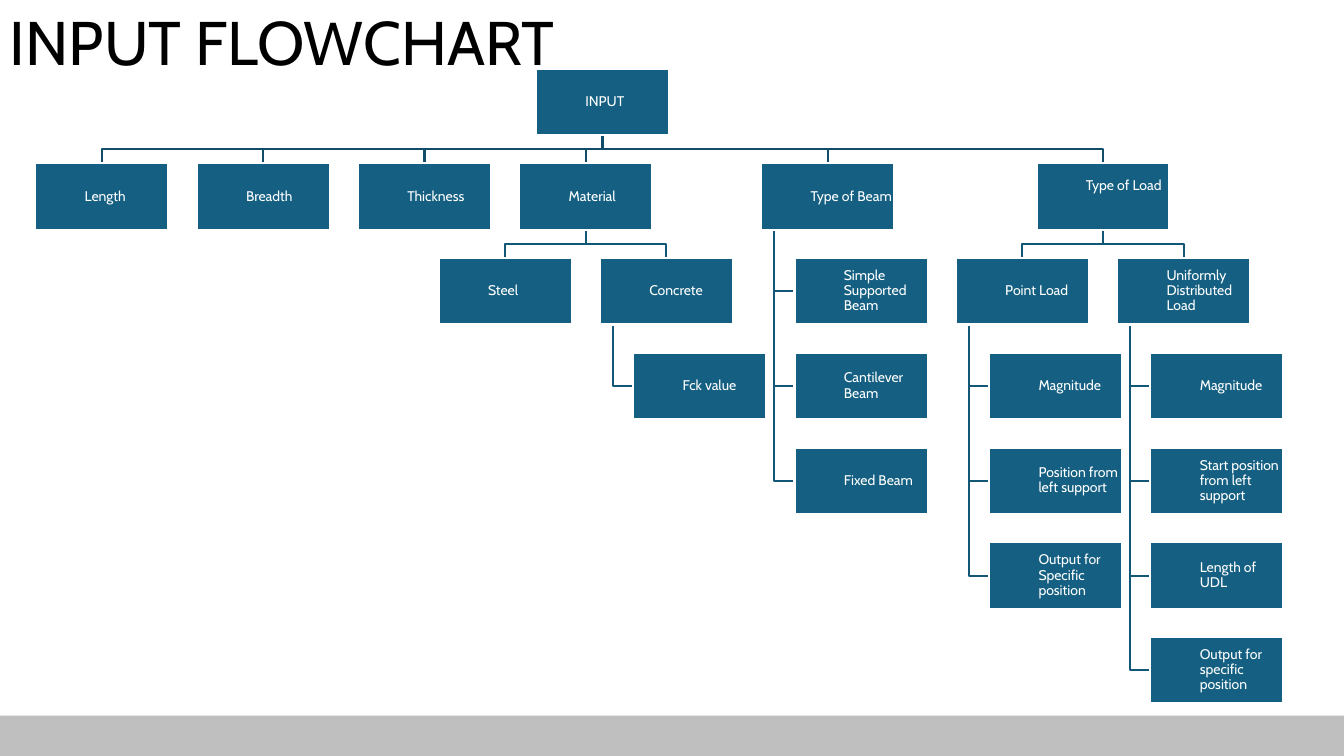
from dataclasses import dataclass

from pptx import Presentation
from pptx.dml.color import RGBColor
from pptx.enum.shapes import MSO_SHAPE
from pptx.enum.text import MSO_ANCHOR, PP_ALIGN
from pptx.util import Inches, Pt

RECTANGLE = MSO_SHAPE.RECTANGLE
MIDDLE = MSO_ANCHOR.MIDDLE
LEFT = PP_ALIGN.LEFT

FONT = "Cabin"
BOX_WIDTH, BOX_HEIGHT = 1.32, 0.66
GAP = 0.28
ROW_PITCH = BOX_HEIGHT + GAP
HANG_INDENT = 0.33
TRUNK_OFFSET = 0.13


@dataclass
class Node:
    """A box of the tree; its children hang in a column or spread in a row."""
    label: str
    children: tuple = ()
    hangs: bool = False
    raised: float = 0
    left: float = 0
    row: int = 0


def leaves(*labels):
    return tuple(Node(label) for label in labels)


INPUT_TREE = Node("INPUT", (
    *leaves("Length", "Breadth", "Thickness"),
    Node("Material", (
        Node("Steel"),
        Node("Concrete", leaves("Fck value"), hangs=True),
    )),
    Node("Type of Beam", leaves(
        "Simple Supported Beam", "Cantilever Beam", "Fixed Beam"), hangs=True),
    Node("Type of Load", (
        Node("Point Load", leaves(
            "Magnitude", "Position from left support",
            "Output for Specific position"), hangs=True),
        Node("Uniformly Distributed Load", leaves(
            "Magnitude", "Start position from left support",
            "Length of UDL", "Output for specific position"), hangs=True),
    ), raised=0.2),
))


def color(value):
    return RGBColor.from_string(value)


def walk(node):
    yield node
    for child in node.children:
        yield from walk(child)


def arrange(node, row=0):
    """Pack the subtrees side by side, one gap apart on their tightest row."""
    node.row = row
    if node.hangs:
        for step, child in enumerate(node.children, 1):
            arrange(child, row + step)
            child.left = HANG_INDENT
    elif node.children:
        right_edges = {}
        for child in node.children:
            arrange(child, row + 1)
            family = list(walk(child))
            shift = max((right_edges[member.row] + GAP - member.left
                         for member in family if member.row in right_edges), default=0)
            for member in family:
                member.left += shift
                right_edges[member.row] = member.left + BOX_WIDTH
        node.left = (node.children[0].left + node.children[-1].left) / 2


def write(frame, text, size, hex_color):
    frame.word_wrap = True
    frame.vertical_anchor = MIDDLE
    para = frame.paragraphs[0]
    para.alignment = LEFT
    para.line_spacing = 0.9
    span = para.add_run()
    span.text = text
    span.font.name = FONT
    span.font.size = Pt(size)
    span.font.color.rgb = color(hex_color)


def add_rectangle(page, left, top, width, height, fill, line=None):
    shape = page.shapes.add_shape(
        RECTANGLE, Inches(left), Inches(top), Inches(width), Inches(height))
    shape.shadow.inherit = False
    shape.fill.solid()
    shape.fill.fore_color.rgb = color(fill)
    if line:
        shape.line.color.rgb = color(line)
        shape.line.width = Pt(1.5)
    else:
        shape.line.fill.background()
    return shape


def add_elbow(page, points, hex_color):
    start, *rest = [(Inches(x), Inches(y)) for x, y in points]
    builder = page.shapes.build_freeform(*start)
    builder.add_line_segments(rest, close=False)
    elbow = builder.convert_to_shape()
    elbow.shadow.inherit = False
    elbow.fill.background()
    elbow.line.color.rgb = color(hex_color)
    elbow.line.width = Pt(1.5)


def add_branches(page, parent, left, top):
    """Join a box to each of its children."""
    bottom = top + parent.row * ROW_PITCH + BOX_HEIGHT
    for child in reversed(parent.children):
        child_left = left + child.left
        child_top = top + child.row * ROW_PITCH
        if parent.hangs:
            trunk = left + parent.left + TRUNK_OFFSET
            middle = child_top + BOX_HEIGHT / 2
            points = [(trunk, bottom), (trunk, middle), (child_left, middle)]
        else:
            trunk = left + parent.left + BOX_WIDTH / 2
            center = child_left + BOX_WIDTH / 2
            bend = bottom + GAP / 2
            points = [(trunk, bottom), (trunk, bend), (center, bend), (center, child_top)]
        add_elbow(page, points, "135776" if parent.row else "114D68")


def add_node(page, node, left, top):
    box = add_rectangle(page, left + node.left, top + node.row * ROW_PITCH,
                        BOX_WIDTH, BOX_HEIGHT, "156082", "FFFFFF")
    frame = box.text_frame
    frame.margin_left = Inches(0.49)
    frame.margin_top = frame.margin_right = Inches(0.01)
    frame.margin_bottom = Inches(0.01 + node.raised)
    write(frame, node.label, 10, "FFFFFF")


def add_flowchart(page, tree, left, top):
    arrange(tree)
    nodes = list(walk(tree))
    for node in nodes:
        add_branches(page, node, left, top)
    for node in nodes:
        add_node(page, node, left, top)


def add_title(page, text, left, top, width, height):
    box = page.shapes.add_textbox(
        Inches(left), Inches(top), Inches(width), Inches(height))
    write(box.text_frame, text, 44, "000000")


def main():
    deck = Presentation()
    deck.slide_width, deck.slide_height = Inches(13.33), Inches(7.5)
    page = deck.slides.add_slide(deck.slide_layouts[6])
    add_rectangle(page, 0, 7.1, 13.33, 0.4, "BFBFBF")
    add_title(page, "INPUT FLOWCHART", 0, -0.27, 11.5, 1.45)
    add_flowchart(page, INPUT_TREE, 0.35, 0.68)
    deck.save("out.pptx")


if __name__ == "__main__":
    main()
